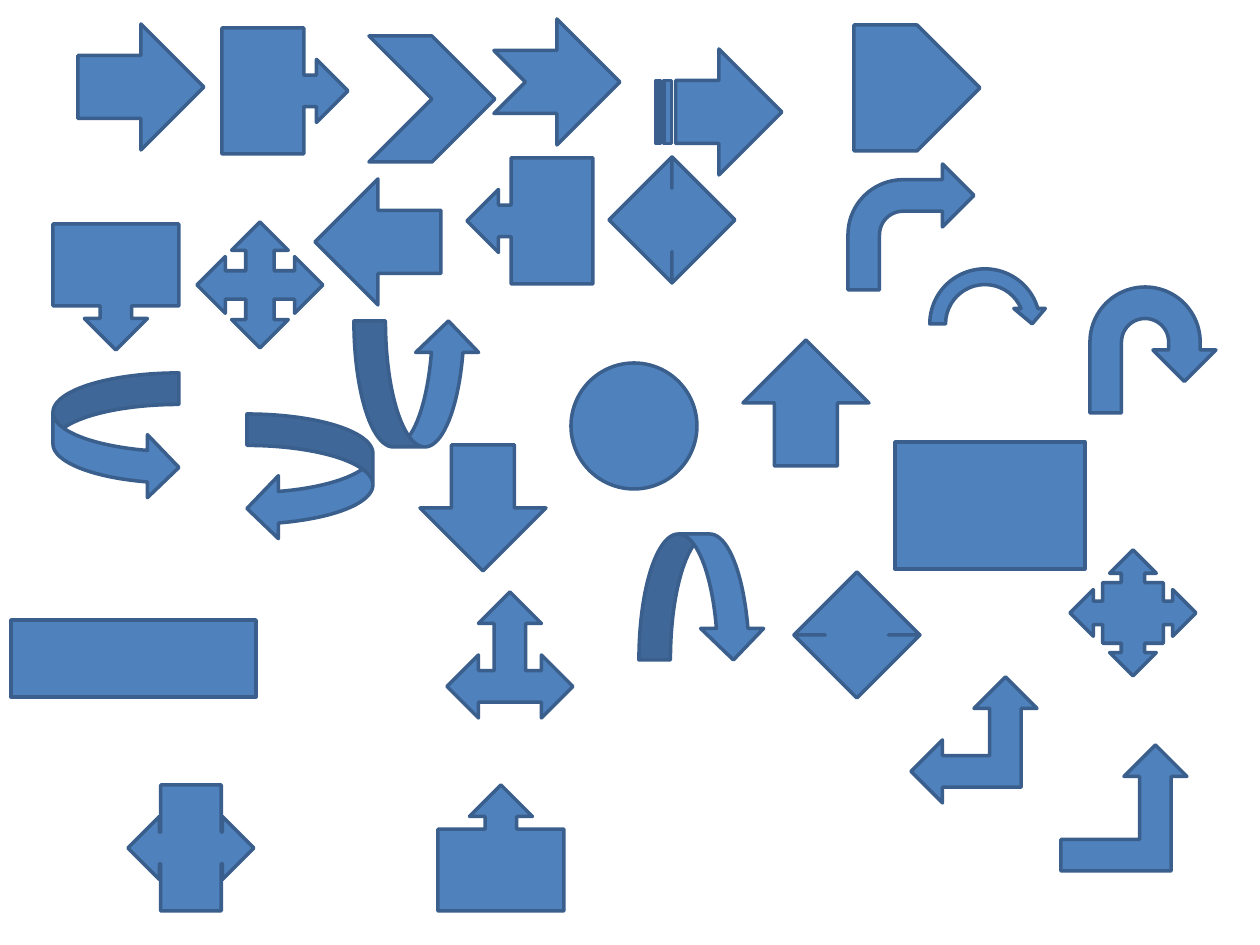
from pptx import Presentation
from pptx.dml.color import RGBColor
from pptx.enum.shapes import MSO_SHAPE
from pptx.util import Emu, Pt

PX = 914400 / 126
COLORS = {"fill": "4F81BD", "outline": "3A5F8C"}
ARROW_SIZE = 126

BASIC_SHAPES = [
    (MSO_SHAPE.RECTANGLE, 11, 620, 245, 77),
    (MSO_SHAPE.OVAL, 571, 363, 126, 126),
    (MSO_SHAPE.RECTANGLE, 895, 442, 190, 127),
]

ARROWS = [
    (MSO_SHAPE.LEFT_ARROW, 315, 179),
    (MSO_SHAPE.UP_ARROW, 743, 340),
    (MSO_SHAPE.DOWN_ARROW, 420, 445),
    (MSO_SHAPE.LEFT_RIGHT_ARROW, 609, 157),
    (MSO_SHAPE.UP_DOWN_ARROW, 794, 572),
    (MSO_SHAPE.QUAD_ARROW, 197, 222),
    (MSO_SHAPE.LEFT_RIGHT_UP_ARROW, 447, 592),
    (MSO_SHAPE.BENT_ARROW, 848, 164),
    (MSO_SHAPE.U_TURN_ARROW, 1090, 287),
    (MSO_SHAPE.LEFT_UP_ARROW, 911, 677),
    (MSO_SHAPE.BENT_UP_ARROW, 1061, 745),
    (MSO_SHAPE.CURVED_RIGHT_ARROW, 53, 373),
    (MSO_SHAPE.CURVED_LEFT_ARROW, 247, 414),
    (MSO_SHAPE.CURVED_DOWN_ARROW, 639, 534),
    (MSO_SHAPE.CURVED_UP_ARROW, 354, 321),
    (MSO_SHAPE.STRIPED_RIGHT_ARROW, 656, 49),
    (MSO_SHAPE.NOTCHED_RIGHT_ARROW, 494, 19),
    (MSO_SHAPE.PENTAGON, 854, 25),
    (MSO_SHAPE.CHEVRON, 369, 36),
    (MSO_SHAPE.RIGHT_ARROW_CALLOUT, 222, 28),
    (MSO_SHAPE.DOWN_ARROW_CALLOUT, 53, 224),
    (MSO_SHAPE.LEFT_ARROW_CALLOUT, 467, 158),
    (MSO_SHAPE.UP_ARROW_CALLOUT, 438, 785),
    (MSO_SHAPE.LEFT_RIGHT_ARROW_CALLOUT, 128, 785),
    (MSO_SHAPE.QUAD_ARROW_CALLOUT, 1070, 550),
    (MSO_SHAPE.CIRCULAR_ARROW, 922, 261),
    (MSO_SHAPE.RIGHT_ARROW, 78, 24),
]


def px(length):
    """Turn a length in px into EMU."""
    return Emu(round(length * PX))


def add_preset(slide, preset, left, top, width=ARROW_SIZE, height=ARROW_SIZE):
    """Add one preset shape in the common blue style."""
    shape = slide.shapes.add_shape(preset, px(left), px(top), px(width), px(height))
    shape.shadow.inherit = False
    shape.fill.solid()
    shape.fill.fore_color.rgb = RGBColor.from_string(COLORS["fill"])
    shape.line.color.rgb = RGBColor.from_string(COLORS["outline"])
    shape.line.width = Pt(2)


def main():
    """Build the slide of basic shapes and block arrows."""
    deck = Presentation()
    deck.slide_width, deck.slide_height = px(1260), px(945)
    slide = deck.slides.add_slide(deck.slide_layouts[6])
    for placement in BASIC_SHAPES + ARROWS:
        add_preset(slide, *placement)
    deck.save("out.pptx")


if __name__ == "__main__":
    main()
